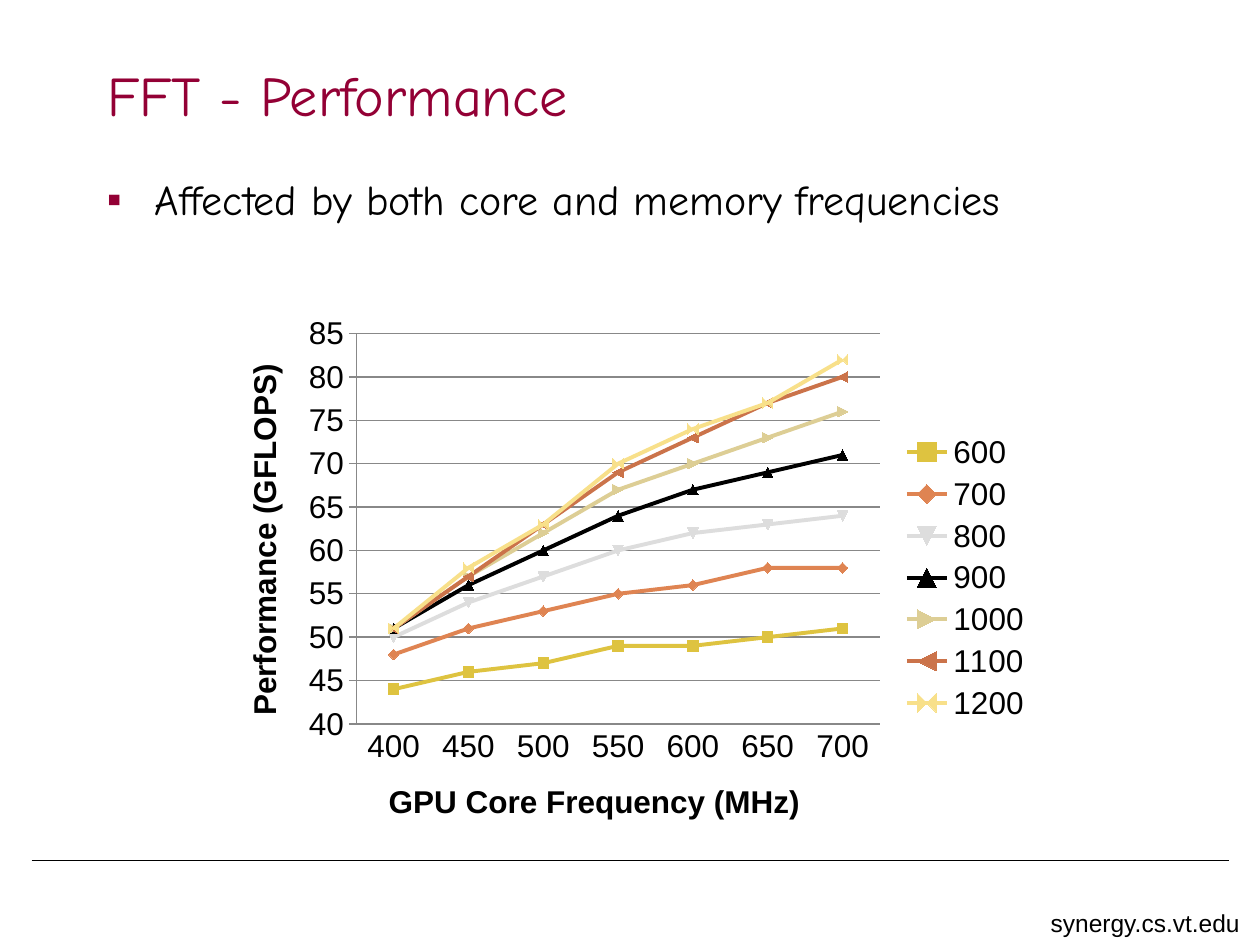
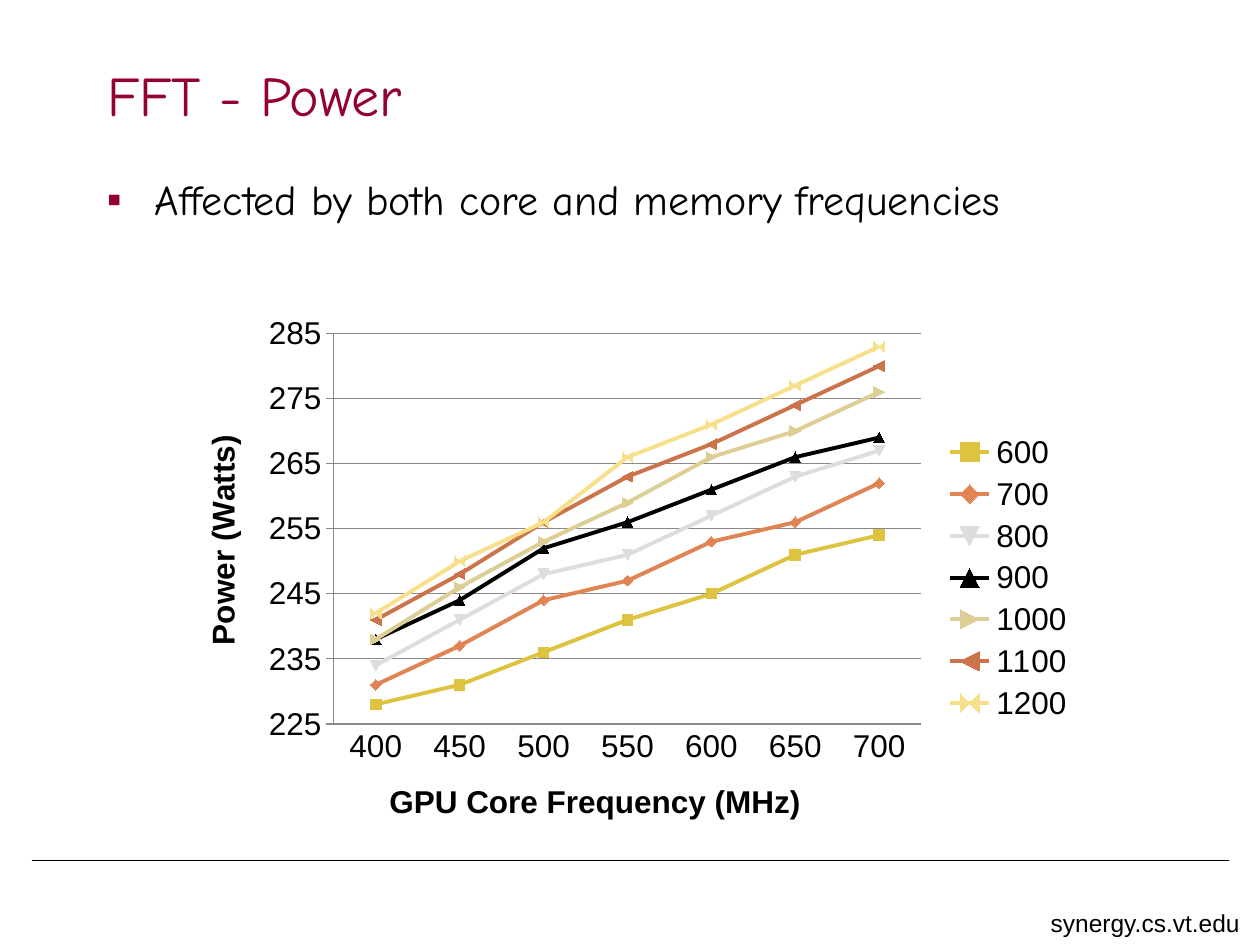
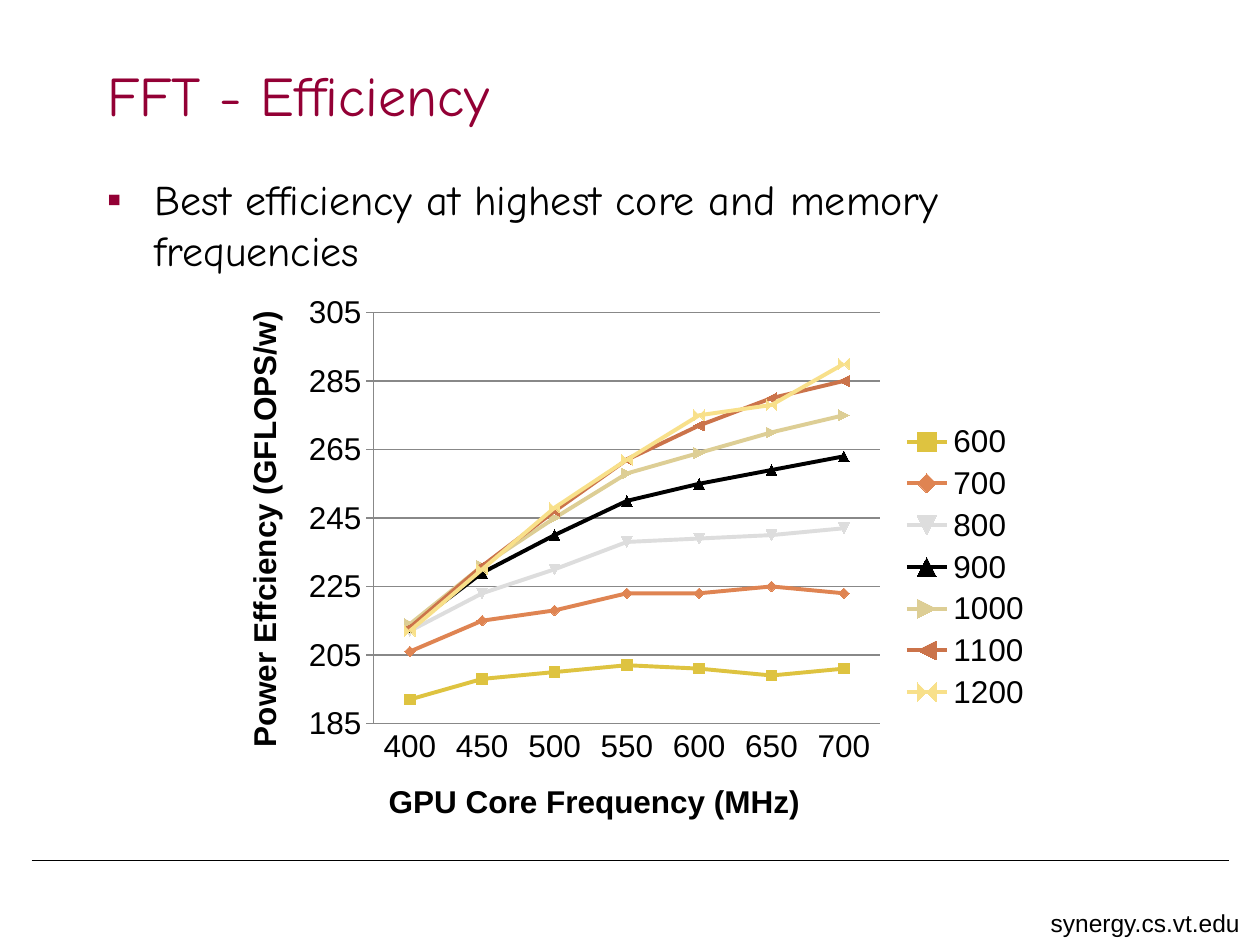
from lxml import etree
from pptx import Presentation
from pptx.chart.data import CategoryChartData
from pptx.dml.color import RGBColor
from pptx.enum.chart import XL_CHART_TYPE as ChartType
from pptx.enum.chart import XL_LEGEND_POSITION as LegendPosition
from pptx.enum.chart import XL_TICK_MARK as TickMark
from pptx.enum.shapes import MSO_CONNECTOR as Connector
from pptx.enum.text import MSO_ANCHOR as Anchor, PP_ALIGN as Align
from pptx.oxml.ns import qn
from pptx.util import Inches, Pt

MAROON = "930035"
BLACK = "000000"
GRID_GREY = "888888"
HEADING_FONT = "Comic Neue"
PLAIN_FONT = "Arial"
TITLE_ONLY = 5

CORE_MHZ = [str(mhz) for mhz in range(400, 701, 50)]
# Memory frequency in MHz and the colour of its curve
MEMORY_COLOURS = {
    "600": "DEC340", "700": "DF8452", "800": "DDDDDD", "900": "000000",
    "1000": "DDCE95", "1100": "CB734A", "1200": "F8E08A",
}

SLIDES = [
    {
        "title": "FFT - Performance",
        "finding": "Affected by both core and memory frequencies",
        "box": (1.71, 2.42, 6.58, 4.33),
        "measure": "Performance (GFLOPS)",
        "scale": (40, 85, 5),
        "curves": [
            (44, 46, 47, 49, 49, 50, 51),
            (48, 51, 53, 55, 56, 58, 58),
            (50, 54, 57, 60, 62, 63, 64),
            (51, 56, 60, 64, 67, 69, 71),
            (51, 57, 62, 67, 70, 73, 76),
            (51, 57, 63, 69, 73, 77, 80),
            (51, 58, 63, 70, 74, 77, 82),
        ],
    },
    {
        "title": "FFT - Power",
        "finding": "Affected by both core and memory frequencies",
        "box": (1.38, 2.42, 7.25, 4.33),
        "measure": "Power (Watts)",
        "scale": (225, 285, 10),
        "curves": [
            (228, 231, 236, 241, 245, 251, 254),
            (231, 237, 244, 247, 253, 256, 262),
            (234, 241, 248, 251, 257, 263, 267),
            (238, 244, 252, 256, 261, 266, 269),
            (238, 246, 253, 259, 266, 270, 276),
            (241, 248, 256, 263, 268, 274, 280),
            (242, 250, 256, 266, 271, 277, 283),
        ],
    },
    {
        "title": "FFT - Efficiency",
        "finding": "Best efficiency at highest core and memory frequencies",
        "box": (1.71, 2.25, 6.58, 4.5),
        "measure": "Power Effciency (GFLOPS/w)",
        "scale": (185, 305, 20),
        "curves": [
            (192, 198, 200, 202, 201, 199, 201),
            (206, 215, 218, 223, 223, 225, 223),
            (212, 223, 230, 238, 239, 240, 242),
            (213, 229, 240, 250, 255, 259, 263),
            (214, 231, 245, 258, 264, 270, 275),
            (213, 231, 247, 262, 272, 280, 285),
            (212, 230, 248, 262, 275, 278, 290),
        ],
    },
]


def rgb(colour):
    return RGBColor.from_string(colour)


def inches(*lengths):
    return [Inches(length) for length in lengths]


def style_font(font, name, size, colour, bold=False):
    font.name = name
    font.size = Pt(size)
    font.bold = bold
    font.color.rgb = rgb(colour)


def style_line(line, colour, width):
    line.color.rgb = rgb(colour)
    line.width = Pt(width)


def add_run(paragraph, text, name, size, colour, bold=False):
    run = paragraph.add_run()
    run.text = text
    style_font(run.font, name, size, colour, bold)


def add_text_box(slide, box):
    """Add a wrapping text box and return its first paragraph."""
    frame = slide.shapes.add_textbox(*inches(*box)).text_frame
    frame.word_wrap = True
    return frame.paragraphs[0]


def add_title(slide, text):
    title = slide.shapes.title
    title.left, title.top, title.width, title.height = inches(0.75, 0.33, 8.5, 0.83)
    title.text_frame.vertical_anchor = Anchor.MIDDLE
    heading = title.text_frame.paragraphs[0]
    heading.alignment = Align.LEFT
    add_run(heading, text, HEADING_FONT, 32, MAROON)


def add_bullet(paragraph):
    properties = paragraph._p.get_or_add_pPr()
    properties.set("marL", str(Inches(0.38)))
    properties.set("indent", str(-Inches(0.38)))
    colour = etree.SubElement(properties, qn("a:buClr"))
    etree.SubElement(colour, qn("a:srgbClr"), val=MAROON)
    etree.SubElement(properties, qn("a:buFont"), typeface=PLAIN_FONT)
    etree.SubElement(properties, qn("a:buChar"), char="▪")


def add_finding(slide, text):
    finding = add_text_box(slide, (0.75, 1.33, 8.5, 5))
    add_bullet(finding)
    add_run(finding, text, HEADING_FONT, 24, BLACK)


def add_footer(slide):
    rule = slide.shapes.add_connector(Connector.STRAIGHT, *inches(0.25, 6.83, 9.75, 6.83))
    style_line(rule.line, BLACK, 0.25)
    etree.SubElement(rule._element.spPr, qn("a:effectLst"))
    address = add_text_box(slide, (8.24, 7.16, 1.76, 0.34))
    add_run(address, "synergy.cs.vt.edu", PLAIN_FONT, 14, BLACK)


def style_axis(axis, title, tick_mark):
    add_run(axis.axis_title.text_frame.paragraphs[0], title, PLAIN_FONT, 18, BLACK, bold=True)
    axis.major_tick_mark = tick_mark
    axis.minor_tick_mark = TickMark.NONE
    style_line(axis.format.line, GRID_GREY, 0.75)


def style_curve(curve, colour):
    curve.smooth = False
    style_line(curve.format.line, colour, 2.25)
    curve.marker.size = 6
    curve.marker.format.fill.solid()
    curve.marker.format.fill.fore_color.rgb = rgb(colour)
    curve.marker.format.line.color.rgb = rgb(colour)


def add_frequency_chart(slide, box, measure, scale, curves):
    """Plot one measure against core frequency, a curve per memory frequency."""
    data = CategoryChartData(number_format="General")
    data.categories = CORE_MHZ
    for memory, values in zip(MEMORY_COLOURS, curves):
        data.add_series(memory, values)
    chart = slide.shapes.add_chart(ChartType.LINE_MARKERS, *inches(*box), data).chart
    chart.has_title = False
    style_font(chart.font, PLAIN_FONT, 18, BLACK)
    chart.has_legend = True
    chart.legend.position = LegendPosition.RIGHT
    chart.legend.include_in_layout = False

    style_axis(chart.category_axis, "GPU Core Frequency (MHz)", TickMark.NONE)
    values_axis = chart.value_axis
    style_axis(values_axis, measure, TickMark.CROSS)
    values_axis.minimum_scale, values_axis.maximum_scale, values_axis.major_unit = scale
    values_axis.has_major_gridlines = True
    style_line(values_axis.major_gridlines.format.line, GRID_GREY, 0.75)

    plot = chart.plots[0]
    plot.vary_by_categories = False
    for curve, colour in zip(plot.series, MEMORY_COLOURS.values()):
        style_curve(curve, colour)


def main():
    deck = Presentation()
    deck.slide_width, deck.slide_height = inches(10, 7.5)
    for content in SLIDES:
        slide = deck.slides.add_slide(deck.slide_layouts[TITLE_ONLY])
        add_footer(slide)
        add_title(slide, content["title"])
        add_finding(slide, content["finding"])
        add_frequency_chart(slide, content["box"], content["measure"],
                            content["scale"], content["curves"])
    deck.save("out.pptx")


if __name__ == "__main__":
    main()
